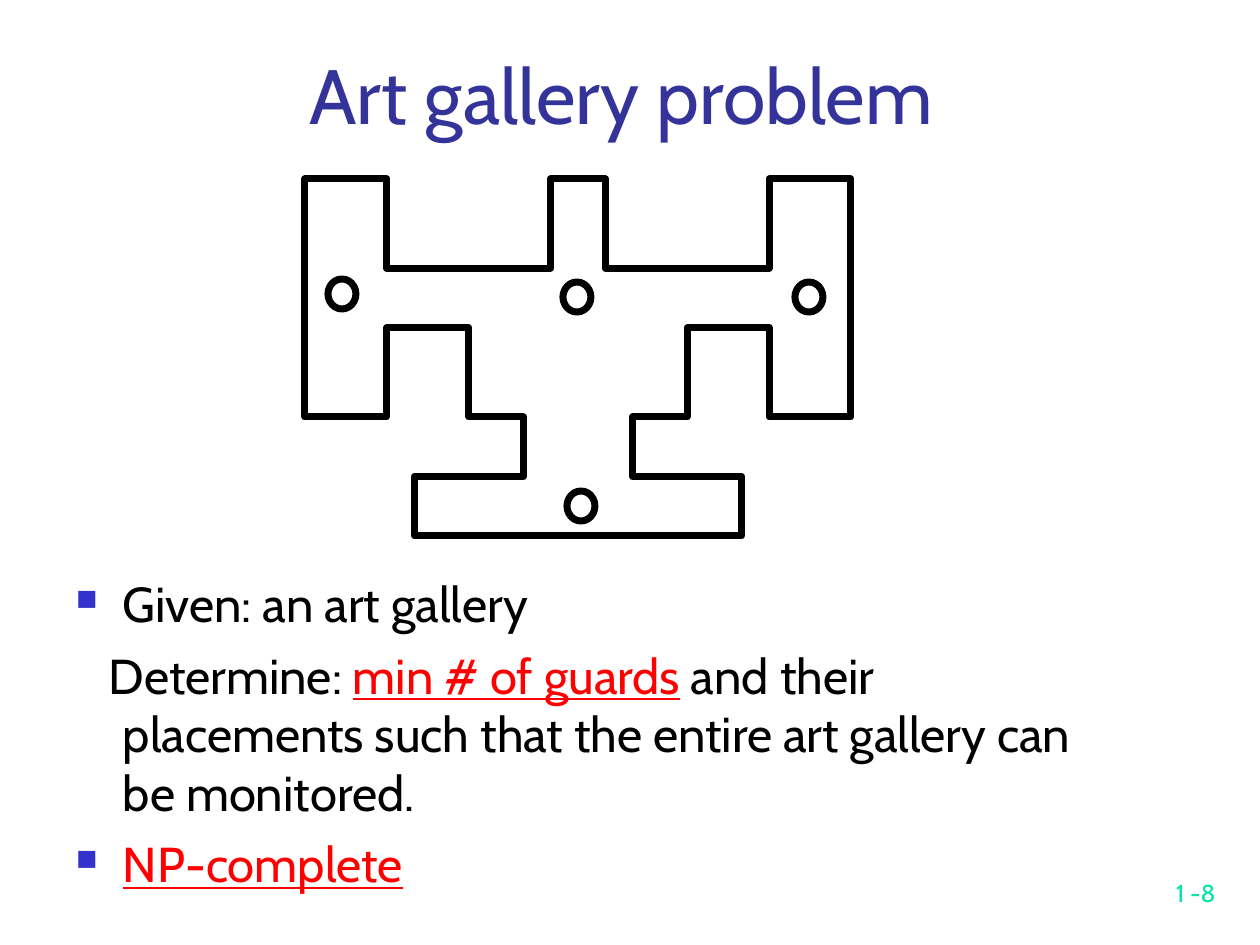
from lxml.etree import SubElement
from pptx import Presentation
from pptx.dml.color import RGBColor
from pptx.enum.shapes import MSO_SHAPE
from pptx.enum.text import MSO_ANCHOR, PP_ALIGN
from pptx.oxml.ns import qn
from pptx.util import Pt

SCALE = 914400 / 126
FACE = "Cabin"
BLACK = RGBColor(0x00, 0x00, 0x00)
RED = RGBColor(0xFF, 0x00, 0x00)
NAVY = RGBColor(0x33, 0x33, 0x99)
BLUE = RGBColor(0x33, 0x33, 0xCC)
MINT = RGBColor(0x00, 0xE4, 0xA8)

HALF = [(9, 0), (9, 3), (3, 3), (3, 0), (0, 0), (0, 8), (3, 8), (3, 5),
        (6, 5), (6, 8), (8, 8), (8, 10), (4, 10), (4, 12)]
COLS, ROWS = 20, 12
GUARDS = [(276, 327), (272, 118), (37, 115), (504, 118)]
GUARD = (28, 30)
HANG = 47
ITEMS = [
    (True, -HANG, [("Given: an art gallery", BLACK, False)]),
    (False, -14, [("Determine: ", BLACK, False),
                  ("min # of guards", RED, True),
                  (" and their placements such that the entire art gallery "
                   "can be monitored.", BLACK, False)]),
    (True, -HANG, [("NP-complete", RED, True)]),
]


def px(num):
    """Turn px into EMU."""
    return round(num * SCALE)


def apply(item, form):
    """Set each attribute in a dict of format values."""
    for key, value in form.items():
        setattr(item, key, value)


def frame(slide, box, **form):
    """Add a wrapping text box and return its text frame."""
    text = slide.shapes.add_textbox(*map(px, box)).text_frame
    apply(text, {"word_wrap": True, **form})
    return text


def write(para, text, size, color, line=False):
    """Add one run of styled text."""
    run = para.add_run()
    run.text = text
    apply(run.font, {"name": FACE, "size": Pt(size), "underline": line})
    run.font.color.rgb = color


def label(slide, box, text, size, color, align):
    """Place one line of text at the bottom of its box."""
    para = frame(slide, box, vertical_anchor=MSO_ANCHOR.BOTTOM).paragraphs[0]
    para.alignment = align
    write(para, text, size, color)


def indent(para, first, mark):
    """Set the hanging indent and the square bullet, if any."""
    props = para._p.get_or_add_pPr()
    props.set("marL", str(px(HANG)))
    props.set("indent", str(px(first)))
    if mark:
        color = SubElement(props, qn("a:buClr"))
        SubElement(color, qn("a:srgbClr"), val=str(BLUE))
        SubElement(props, qn("a:buSzPct"), val="60000")
        SubElement(props, qn("a:buChar"), char="■")
    else:
        SubElement(props, qn("a:buNone"))


def body(slide, box):
    """Place the problem statement."""
    edges = ("left", "top", "right", "bottom")
    text = frame(slide, box, **{f"margin_{edge}": 0 for edge in edges})
    for spot, (mark, first, parts) in enumerate(ITEMS):
        para = text.add_paragraph() if spot else text.paragraphs[0]
        indent(para, first, mark)
        if spot:
            para.space_before = Pt(7)
        for words, color, line in parts:
            write(para, words, 28, color, line)


def outline(shape):
    """Give a shape a thick black line and no fill."""
    shape.shadow.inherit = False
    shape.fill.background()
    shape.line.color.rgb = BLACK
    shape.line.width = Pt(4)
    SubElement(shape.line._get_or_add_ln(), qn("a:round"))


def gallery(slide, box):
    """Draw the symmetric floor plan and its guards."""
    left, top, wide, high = box
    plan = HALF + [(COLS - col, row) for col, row in reversed(HALF)]
    spots = [(px(left + wide * col / COLS), px(top + high * row / ROWS))
             for col, row in plan]
    path = slide.shapes.build_freeform(*spots[0])
    path.add_line_segments(spots[1:], close=True)
    outline(path.convert_to_shape())
    wide, high = GUARD
    for col, row in GUARDS:
        spot = (left + col - wide / 2, top + row - high / 2, wide, high)
        outline(slide.shapes.add_shape(MSO_SHAPE.OVAL, *map(px, spot)))


def main():
    """Build and save the slide."""
    deck = Presentation()
    apply(deck, {"slide_width": px(1260), "slide_height": px(945)})
    slide = deck.slides.add_slide(deck.slide_layouts[6])
    label(slide, (966, 851, 262, 63), "1 -8", 14, MINT, PP_ALIGN.RIGHT)
    body(slide, (76, 574, 1046, 340))
    label(slide, (85, 41, 1073, 105), "Art gallery problem", 44, NAVY,
          PP_ALIGN.CENTER)
    gallery(slide, (305, 179, 546, 357))
    deck.save("out.pptx")


if __name__ == "__main__":
    main()
